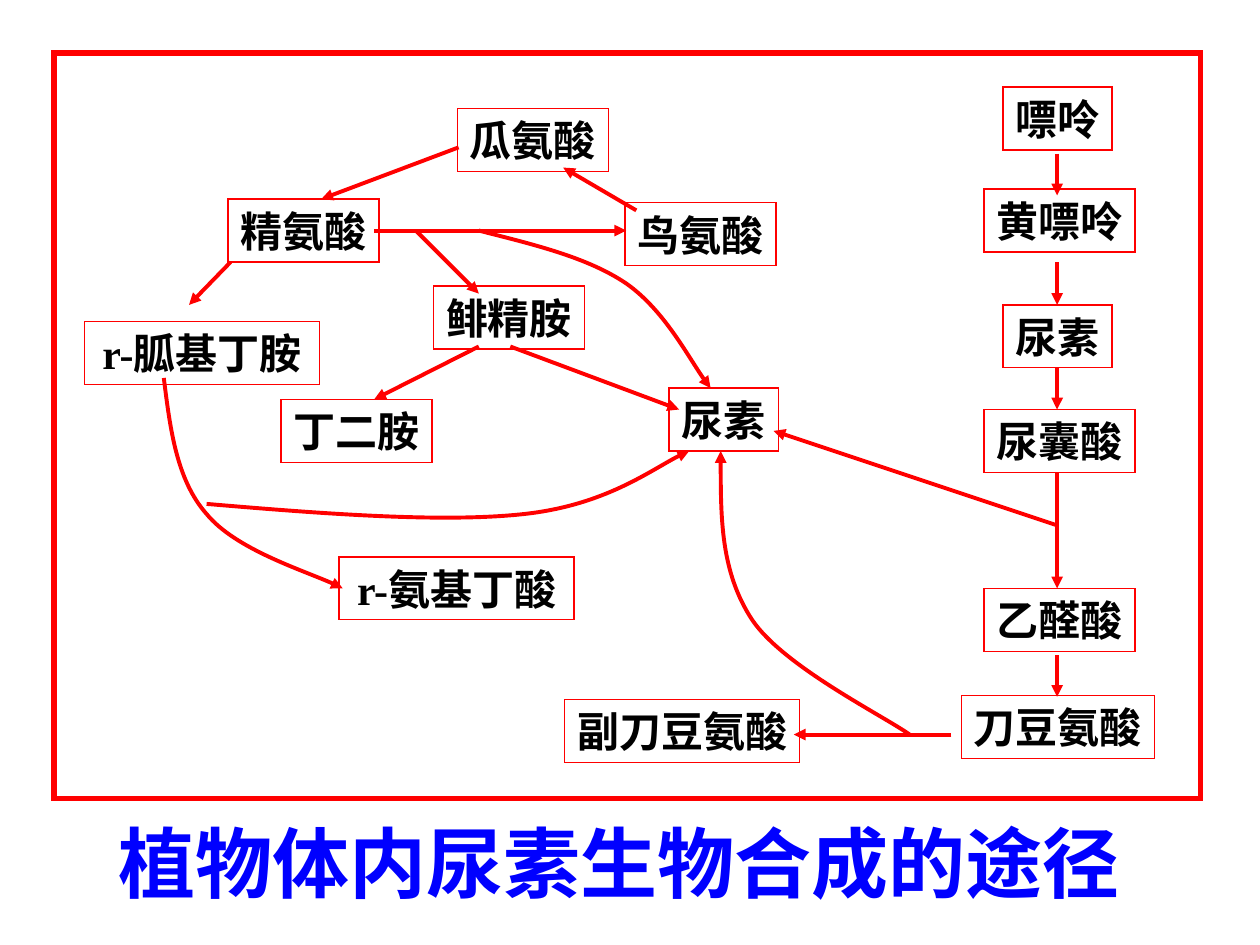
from dataclasses import dataclass

from lxml import etree
from pptx import Presentation
from pptx import util as u
from pptx.dml.color import RGBColor
from pptx.enum import shapes, text
from pptx.oxml.ns import qn


@dataclass(frozen=True)
class Theme:
    font: str = "Times New Roman"
    title_color: RGBColor = RGBColor(0, 0, 255)
    label_color: RGBColor = RGBColor(0, 0, 0)
    line_color: RGBColor = RGBColor(255, 0, 0)
    title_size: int = 44
    label_size: int = 24
    frame_line: float = 3
    box_line: float = 0.75
    arrow_line: float = 2.25


def write(frame, content, *, font, size, color, wrap=False, side=0.1):
    frame.word_wrap = wrap
    frame.auto_size = text.MSO_AUTO_SIZE.NONE
    frame.vertical_anchor = text.MSO_ANCHOR.MIDDLE
    frame.margin_left = frame.margin_right = u.Inches(side)
    frame.margin_top = frame.margin_bottom = u.Inches(0.05)
    paragraph = frame.paragraphs[0]
    paragraph.alignment = text.PP_ALIGN.CENTER
    run = paragraph.add_run()
    run.text = content
    run.font.name = font
    run.font.size = u.Pt(size)
    run.font.bold = True
    run.font.color.rgb = color


class Pathway:
    def __init__(self, slide, theme):
        self.slide = slide
        self.theme = theme

    def title(self, content, left, top, width, height):
        title = self.slide.shapes.title
        title.left, title.top, title.width, title.height = map(
            u.Inches, (left, top, width, height))
        write(title.text_frame, content, font=self.theme.font,
              size=self.theme.title_size, color=self.theme.title_color,
              wrap=True, side=0)

    def outline(self, shape, weight):
        shape.line.color.rgb = self.theme.line_color
        shape.line.width = u.Pt(weight)

    def rectangle(self, left, top, width, height, weight):
        rectangle = self.slide.shapes.add_shape(
            shapes.MSO_SHAPE.RECTANGLE, *map(u.Inches, (left, top, width, height)))
        rectangle.shadow.inherit = False
        rectangle.fill.background()
        self.outline(rectangle, weight)
        corner = etree.SubElement(rectangle.line._get_or_add_ln(), qn("a:miter"))
        corner.set("lim", "800000")
        return rectangle

    def compound(self, name, left, top):
        width = 0.2 + sum(0.5 if c.isascii() else 1 for c in name) / 3
        box = self.rectangle(left, top, width, 0.5, self.theme.box_line)
        write(box.text_frame, name, font=self.theme.font,
              size=self.theme.label_size, color=self.theme.label_color)

    def point(self, shape):
        self.outline(shape, self.theme.arrow_line)
        arrowhead = etree.SubElement(shape.line._get_or_add_ln(), qn("a:tailEnd"))
        arrowhead.set("type", "triangle")

    def arrow(self, start, end):
        arrow = self.slide.shapes.add_connector(
            shapes.MSO_CONNECTOR.STRAIGHT, *map(u.Inches, (*start, *end)))
        self.point(arrow)
        etree.SubElement(arrow._element.spPr, qn("a:effectLst"))

    def curve(self, start, *controls):
        builder = self.slide.shapes.build_freeform(*map(u.Inches, start))
        builder.add_line_segments(
            [tuple(map(u.Inches, spot)) for spot in controls], close=False)
        curve = builder.convert_to_shape()
        curve.shadow.inherit = False
        curve.fill.background()
        self.point(curve)
        steps = list(curve._element.iter(qn("a:lnTo")))
        for first in range(0, len(steps), 3):
            bezier = etree.Element(qn("a:cubicBezTo"))
            steps[first].addprevious(bezier)
            for step in steps[first:first + 3]:
                bezier.append(step[0])
                step.getparent().remove(step)


COMPOUNDS = [
    ("嘌呤", 7.96, 0.69),
    ("黄嘌呤", 7.81, 1.5),
    ("尿素", 7.96, 2.42),
    ("尿囊酸", 7.81, 3.25),
    ("乙醛酸", 7.81, 4.67),
    ("刀豆氨酸", 7.63, 5.52),
    ("副刀豆氨酸", 4.48, 5.55),
    ("尿素", 5.31, 3.08),
    ("r-氨基丁酸", 2.69, 4.42),
    ("鸟氨酸", 4.96, 1.61),
    ("鲱精胺", 3.44, 2.27),
    ("丁二胺", 2.23, 3.17),
    ("瓜氨酸", 3.63, 0.86),
    ("精氨酸", 1.81, 1.58),
    ("r-胍基丁胺", 0.67, 2.55),
]

PURINE_X = 8.39
PURINE_STEPS = [(1.22, 1.55), (2.08, 2.42), (2.92, 3.25), (3.75, 4.67), (5.2, 5.53)]

ARROWS = [
    ((PURINE_X, 4.17), (6.14, 3.42)),
    ((7.55, 5.83), (6.3, 5.83)),
    ((5.05, 1.67), (4.47, 1.33)),
    ((3.64, 1.17), (2.55, 1.58)),
    ((1.83, 2.08), (1.5, 2.42)),
    ((3.8, 2.75), (2.97, 3.17)),
    ((4.05, 2.75), (5.39, 3.25)),
    ((2.97, 1.83), (4.97, 1.83)),
    ((3.3, 1.83), (3.8, 2.33)),
]

CURVES = [
    ((7.22, 5.83), (7.01, 5.68), (6.22, 5.29), (5.97, 4.92),
     (5.72, 4.54), (5.72, 4.06), (5.72, 3.58)),
    ((1.3, 3), (1.35, 3.4), (1.4, 3.81), (1.64, 4.08),
     (1.87, 4.36), (2.54, 4.57), (2.72, 4.67)),
    ((1.64, 4), (2.58, 4.08), (3.52, 4.15), (4.16, 4.08),
     (4.8, 4.01), (5.25, 3.67), (5.47, 3.58)),
    ((3.8, 1.83), (4.23, 1.94), (4.66, 2.04), (4.97, 2.25),
     (5.27, 2.46), (5.52, 2.94), (5.64, 3.08)),
]


def main():
    deck = Presentation()
    deck.slide_width, deck.slide_height = u.Inches(10), u.Inches(7.5)
    theme = Theme()
    pathway = Pathway(deck.slides.add_slide(deck.slide_layouts[5]), theme)
    pathway.title("植物体内尿素生物合成的途径", 0.84, 6.42, 8.15, 0.84)
    pathway.rectangle(0.43, 0.42, 9.1, 5.92, theme.frame_line)
    for name, left, top in COMPOUNDS:
        pathway.compound(name, left, top)
    for top, bottom in PURINE_STEPS:
        pathway.arrow((PURINE_X, top), (PURINE_X, bottom))
    for start, end in ARROWS:
        pathway.arrow(start, end)
    for spots in CURVES:
        pathway.curve(*spots)
    deck.save("out.pptx")


if __name__ == "__main__":
    main()
